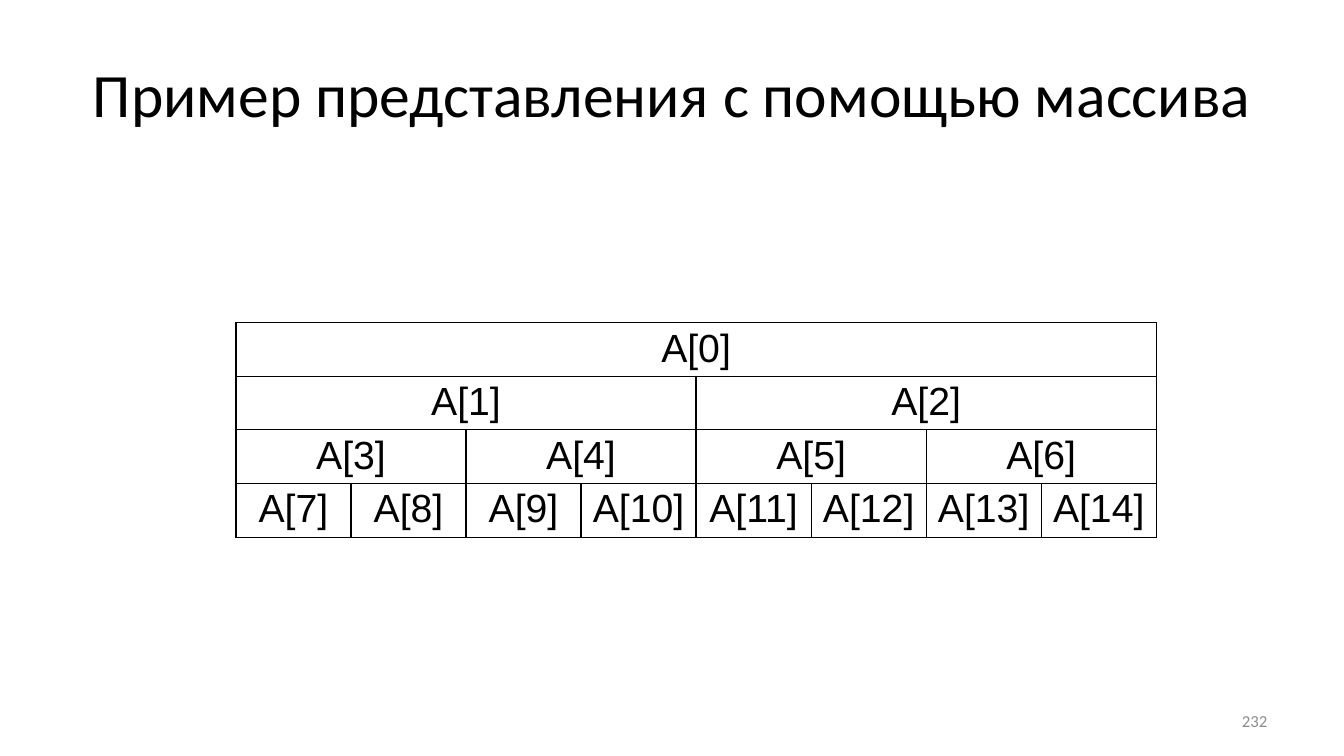
from pptx import Presentation
from pptx import util as u
from pptx.dml import color
from pptx.enum import text
from lxml import etree

NS = "http://schemas.openxmlformats.org/drawingml/2006/main"


def style(par, face, size, tint, align):
    par.alignment = align
    par.font.name = face
    par.font.size = u.Pt(size)
    par.font.color.rgb = color.RGBColor.from_string(tint)


def border(cell):
    props = cell._tc.get_or_add_tcPr()
    for side in ("lnL", "lnR", "lnT", "lnB"):
        props.append(etree.fromstring(
            f'<a:{side} xmlns:a="{NS}" w="12700"><a:solidFill>'
            f'<a:srgbClr val="000000"/></a:solidFill></a:{side}>'))


prs = Presentation()
prs.slide_width = u.Inches(13.33)
prs.slide_height = u.Inches(7.5)
slide = prs.slides.add_slide(prs.slide_layouts[5])

title = slide.shapes.title
title.left, title.top = u.Inches(0.67), u.Inches(0.3)
title.width, title.height = u.Inches(12), u.Inches(1.25)
title.text_frame.text = "Пример представления с помощью массива"
title.text_frame.vertical_anchor = text.MSO_ANCHOR.MIDDLE
style(title.text_frame.paragraphs[0], "Calibri", 44, "000000", text.PP_ALIGN.CENTER)

rows, cols = 4, 8
table = slide.shapes.add_table(
    rows, cols, u.Inches(2.34), u.Inches(3.2), u.Inches(9.13), u.Inches(2.13)).table
table.first_row = False
table.horz_banding = False

for cell in table.iter_cells():
    border(cell)
    cell.fill.background()
    cell.margin_top = cell.margin_bottom = u.Inches(0.04)
    cell.margin_left = cell.margin_right = u.Inches(0.09)

for row in range(rows):
    count = 2 ** row
    span = cols // count
    for item in range(count):
        cell = table.cell(row, item * span)
        if span > 1:
            cell.merge(table.cell(row, (item + 1) * span - 1))
        cell.text = f"A[{count - 1 + item}]"
        style(cell.text_frame.paragraphs[0], "Arial", 28, "000000", text.PP_ALIGN.CENTER)

page = slide.shapes.add_textbox(
    u.Inches(9.56), u.Inches(6.95), u.Inches(3.11), u.Inches(0.4)).text_frame
page.word_wrap = True
page.vertical_anchor = text.MSO_ANCHOR.MIDDLE
page.text = "232"
style(page.paragraphs[0], "Calibri", 12, "8C8C8C", text.PP_ALIGN.RIGHT)

prs.save("out.pptx")
